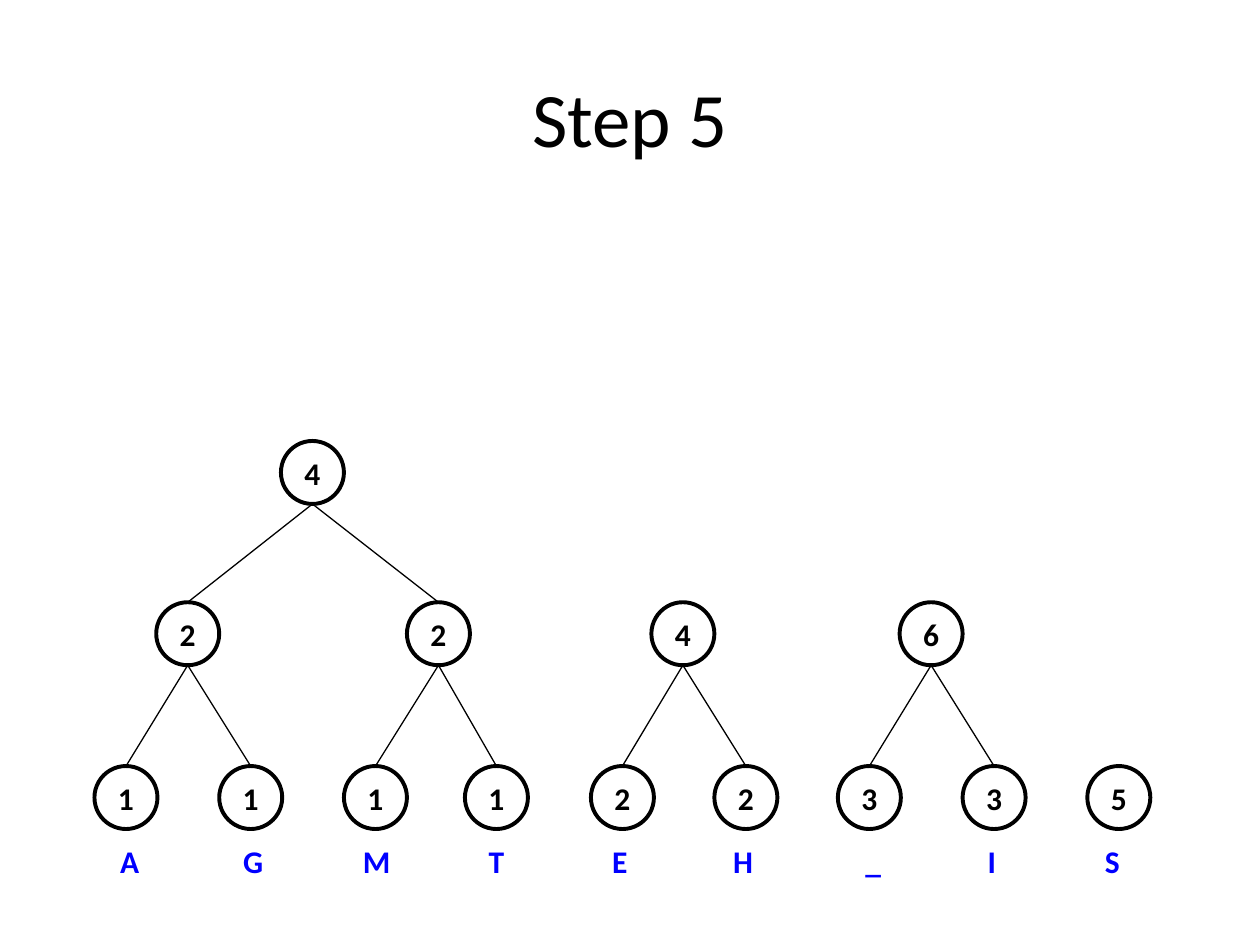
from dataclasses import dataclass

from lxml import etree
from pptx import Presentation
from pptx.dml.color import RGBColor
from pptx.enum.shapes import MSO_CONNECTOR, MSO_SHAPE
from pptx.enum.text import MSO_ANCHOR, MSO_AUTO_SIZE, PP_ALIGN
from pptx.oxml.ns import qn
from pptx.util import Inches, Pt


@dataclass(frozen=True)
class Theme:
    font: str = "Calibri"
    ink: RGBColor = RGBColor(0x00, 0x00, 0x00)
    letter: RGBColor = RGBColor(0x00, 0x00, 0xFF)
    title_size: Pt = Pt(44)
    text_size: Pt = Pt(18)
    node_line: Pt = Pt(2.25)
    edge_line: Pt = Pt(0.75)


theme = Theme()
NODE_SIZE = 0.5
LETTER_TOP = 6.63
LEVEL_TOPS = {"leaf": 6.08, "pair": 4.78, "root": 3.5}

# Node name: level, left, weight, children
NODES = {
    "A": ("leaf", 0.75, 1, ""),
    "G": ("leaf", 1.74, 1, ""),
    "M": ("leaf", 2.73, 1, ""),
    "T": ("leaf", 3.69, 1, ""),
    "E": ("leaf", 4.69, 2, ""),
    "H": ("leaf", 5.67, 2, ""),
    "_": ("leaf", 6.65, 3, ""),
    "I": ("leaf", 7.64, 3, ""),
    "S": ("leaf", 8.63, 5, ""),
    "AG": ("pair", 1.24, 2, ("A", "G")),
    "MT": ("pair", 3.23, 2, ("M", "T")),
    "EH": ("pair", 5.17, 4, ("E", "H")),
    "_I": ("pair", 7.14, 6, ("_", "I")),
    "AGMT": ("root", 2.23, 4, ("AG", "MT")),
}

# Letter: left, width, alignment
LETTERS = {
    "A": (0.81, 0.44, PP_ALIGN.CENTER),
    "G": (1.78, 0.46, PP_ALIGN.CENTER),
    "M": (2.75, 0.48, PP_ALIGN.CENTER),
    "T": (3.78, 0.40, PP_ALIGN.LEFT),
    "E": (4.76, 0.42, PP_ALIGN.LEFT),
    "H": (5.72, 0.44, PP_ALIGN.LEFT),
    "_": (6.77, 0.39, PP_ALIGN.LEFT),
    "I": (7.74, 0.29, PP_ALIGN.LEFT),
    "S": (8.67, 0.42, PP_ALIGN.LEFT),
}


def write(shape, text, size, color, bold=True, alignment=PP_ALIGN.CENTER):
    shape.text_frame.text = text
    paragraph = shape.text_frame.paragraphs[0]
    paragraph.alignment = alignment
    paragraph.font.name = theme.font
    paragraph.font.size = size
    paragraph.font.bold = bold
    paragraph.font.color.rgb = color


presentation = Presentation()
presentation.slide_width = Inches(10)
presentation.slide_height = Inches(7.5)
slide = presentation.slides.add_slide(presentation.slide_layouts[5])

# Title
title = slide.shapes.title
title.left, title.top = Inches(0.5), Inches(0.3)
title.width, title.height = Inches(9), Inches(1.25)
title.text_frame.vertical_anchor = MSO_ANCHOR.MIDDLE
write(title, "Step 5", theme.title_size, theme.ink, bold=False)

# Tree nodes, each joined to its children
circles = {}
for name, (level, left, weight, children) in NODES.items():
    circle = slide.shapes.add_shape(
        MSO_SHAPE.FLOWCHART_CONNECTOR, Inches(left), Inches(LEVEL_TOPS[level]),
        Inches(NODE_SIZE), Inches(NODE_SIZE))
    circle.shadow.inherit = False
    circle.fill.background()
    circle.line.color.rgb = theme.ink
    circle.line.width = theme.node_line
    circle.text_frame.word_wrap = False
    circle.text_frame.vertical_anchor = MSO_ANCHOR.MIDDLE
    write(circle, str(weight), theme.text_size, theme.ink)
    circles[name] = circle

    for child in children:
        edge = slide.shapes.add_connector(
            MSO_CONNECTOR.STRAIGHT,
            circle.left + circle.width // 2, circle.top + circle.height, 0, 0)
        edge.end_connect(circles[child], 0)
        edge.line.color.rgb = theme.ink
        edge.line.width = theme.edge_line
        etree.SubElement(edge._element.spPr, qn("a:effectLst"))

# Letters under the leaves
for letter, (left, width, alignment) in LETTERS.items():
    label = slide.shapes.add_textbox(
        Inches(left), Inches(LETTER_TOP), Inches(width), Inches(0.5))
    label.text_frame.word_wrap = False
    label.text_frame.auto_size = MSO_AUTO_SIZE.SHAPE_TO_FIT_TEXT
    write(label, letter, theme.text_size, theme.letter, alignment=alignment)

presentation.save("out.pptx")
